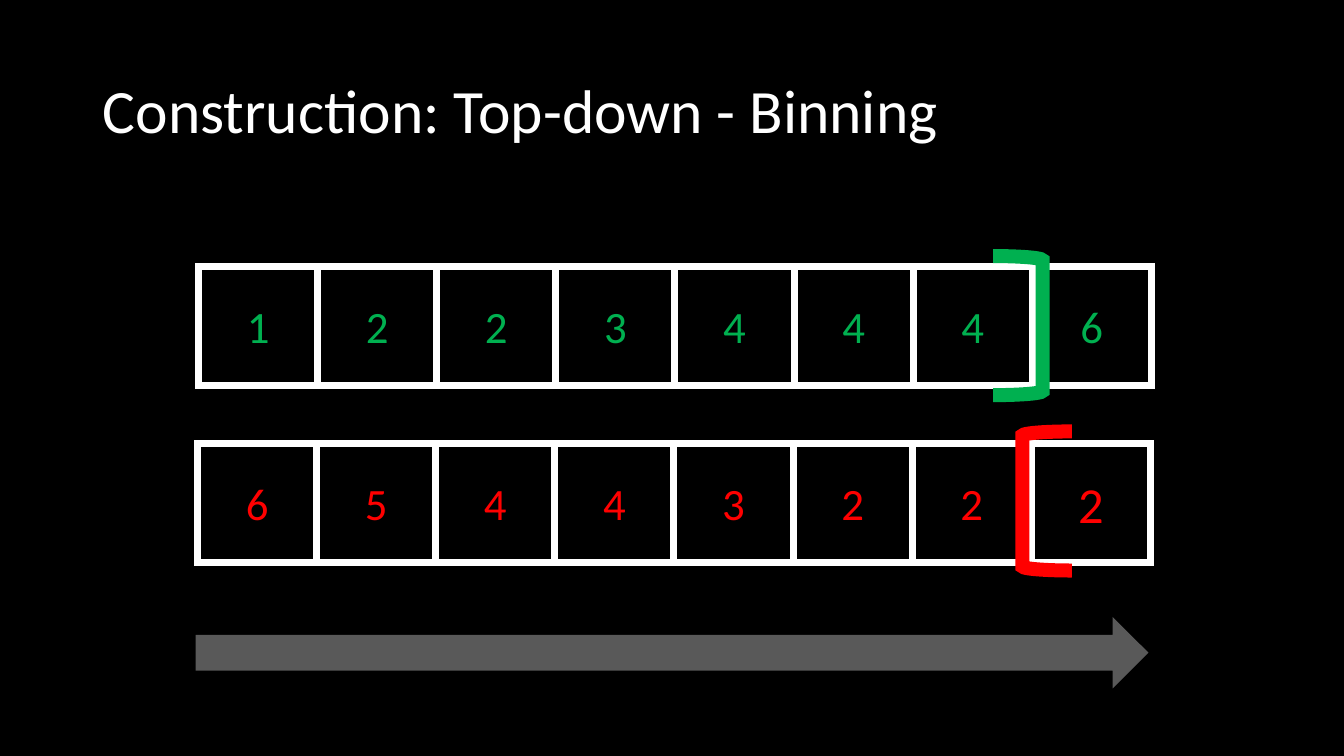
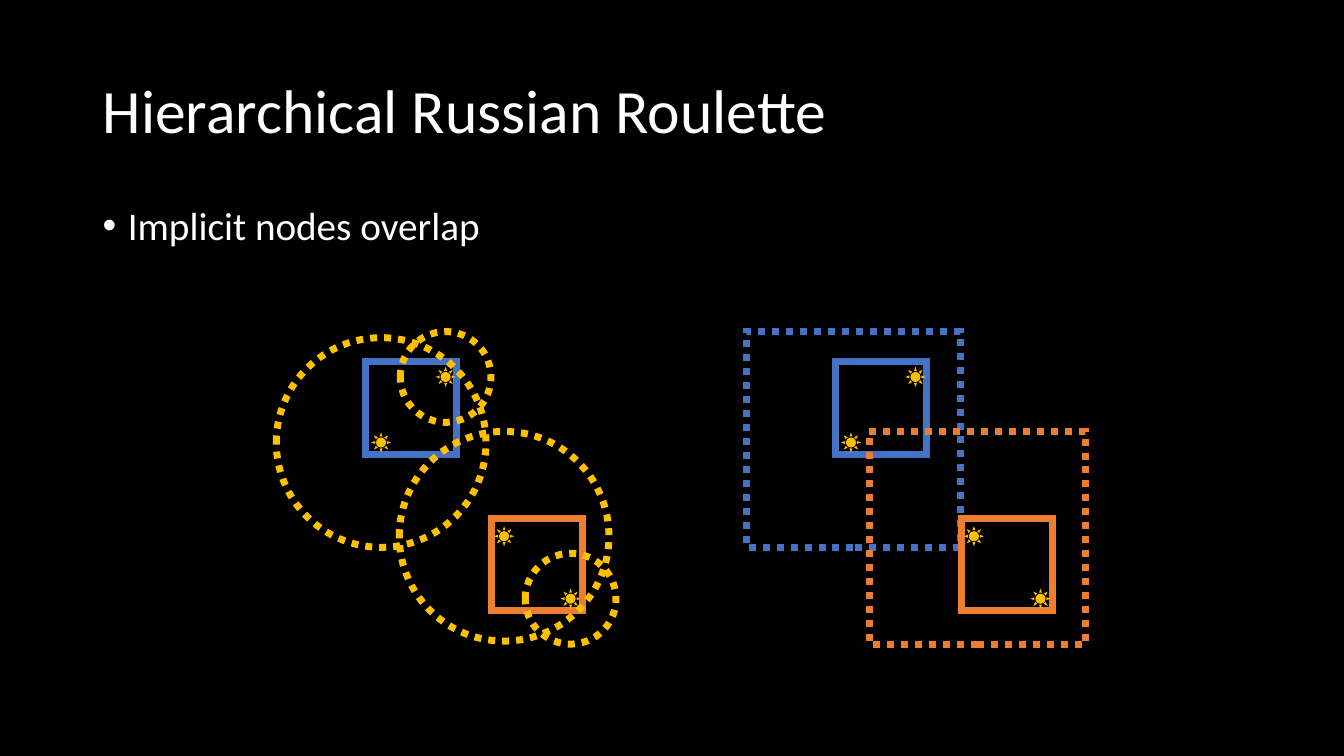
from dataclasses import dataclass

from lxml.etree import SubElement
from pptx import Presentation
from pptx.dml.color import RGBColor
from pptx.enum.dml import MSO_LINE
from pptx.enum.shapes import MSO_SHAPE
from pptx.enum.text import MSO_ANCHOR, MSO_AUTO_SIZE, PP_ALIGN
from pptx.oxml.ns import qn
from pptx.util import Emu, Pt

EMU_PER_PX = 9144  # 100 px to the inch


@dataclass(frozen=True)
class Theme:
    background: str = "000000"
    text: str = "FFFFFF"
    left_bin: str = "00B050"
    right_bin: str = "FF0000"
    sweep: str = "595959"
    light: str = "FFC000"
    first_node: str = "4472C4"
    second_node: str = "ED7D31"
    font: str = "Calibri"
    title_size: int = 44
    body_size: int = 28
    cell_size: int = 32
    marked_cell_size: int = 36
    outline: int = 5
    bracket: int = 10


THEME = Theme()

TITLE_BOX = (92, 40, 1150, 145)
BODY_BOX = (92, 200, 1150, 476)

LIGHT_SIZE = 20
FAR_RADIUS, NEAR_RADIUS = 104, 45
# Node box and (centre x, centre y, radius of influence) of each light,
# relative to the top left corner of a cluster.
NODES = [
    (THEME.first_node, (89, 30, 90, 92),
     [(104, 110, FAR_RADIUS), (168, 45, NEAR_RADIUS)]),
    (THEME.second_node, (214, 185, 90, 92),
     [(226, 203, FAR_RADIUS), (292, 265, NEAR_RADIUS)]),
]


def emu_box(box):
    return [Emu(round(length * EMU_PER_PX)) for length in box]


def rgb(color):
    return RGBColor.from_string(color)


def style_text(paragraph, size, color, align):
    paragraph.alignment = align
    font = paragraph.font
    font.name, font.size = THEME.font, Pt(size)
    font.color.rgb = rgb(color)


def add_figure(slide, kind, box, fill=None, line=None, width=THEME.outline, dotted=False):
    """Add a preset shape with a plain fill and a mitred outline, either optional."""
    figure = slide.shapes.add_shape(kind, *emu_box(box))
    figure.shadow.inherit = False
    if fill:
        figure.fill.solid()
        figure.fill.fore_color.rgb = rgb(fill)
    else:
        figure.fill.background()
    if line:
        figure.line.color.rgb = rgb(line)
        figure.line.width = Pt(width)
        if dotted:
            figure.line.dash_style = MSO_LINE.ROUND_DOT
        outline = figure.line._get_or_add_ln()
        SubElement(outline, qn("a:miter"), lim="800000")
    else:
        figure.line.fill.background()
    return figure


def add_titled_slide(prs, heading):
    slide = prs.slides.add_slide(prs.slide_layouts[5])
    title = slide.shapes.title
    title.left, title.top, title.width, title.height = emu_box(TITLE_BOX)
    title.text = heading
    title.text_frame.auto_size = MSO_AUTO_SIZE.NONE
    title.text_frame.vertical_anchor = MSO_ANCHOR.MIDDLE
    paragraph = title.text_frame.paragraphs[0]
    paragraph.line_spacing = 0.9
    style_text(paragraph, THEME.title_size, THEME.text, PP_ALIGN.LEFT)
    return slide


def add_bullet(slide, box, text):
    frame = slide.shapes.add_textbox(*emu_box(box)).text_frame
    frame.word_wrap = True
    paragraph = frame.paragraphs[0]
    paragraph.text = text
    paragraph.line_spacing = 0.9
    properties = paragraph._p.get_or_add_pPr()
    indent = 25 * EMU_PER_PX
    properties.set("marL", str(indent))
    properties.set("indent", str(-indent))
    SubElement(properties, qn("a:buFont"), typeface="Arial")
    SubElement(properties, qn("a:buChar"), char="•")
    style_text(paragraph, THEME.body_size, THEME.text, PP_ALIGN.LEFT)


def add_bin_row(slide, box, counts, color, last_size=THEME.cell_size):
    left, top, width, height = box
    cell_width = width / len(counts)
    sizes = [THEME.cell_size] * (len(counts) - 1) + [last_size]
    for column, (count, size) in enumerate(zip(counts, sizes)):
        cell_box = (left + column * cell_width, top, cell_width, height)
        cell = add_figure(slide, MSO_SHAPE.RECTANGLE, cell_box, line=THEME.text)
        cell.text_frame.vertical_anchor = MSO_ANCHOR.MIDDLE
        cell.text_frame.text = str(count)
        style_text(cell.text_frame.paragraphs[0], size, color, PP_ALIGN.CENTER)


def add_bracket(slide, box, color, rotation=0):
    bracket = add_figure(slide, MSO_SHAPE.RIGHT_BRACKET, box, line=color, width=THEME.bracket)
    bracket.rotation = rotation


def circle_box(x, y, radius):
    return x - radius, y - radius, 2 * radius, 2 * radius


def enclosing_box(lights):
    """Return the smallest box around all circles of influence."""
    left = min(x - radius for x, y, radius in lights)
    top = min(y - radius for x, y, radius in lights)
    right = max(x + radius for x, y, radius in lights)
    bottom = max(y + radius for x, y, radius in lights)
    return left, top, right - left, bottom - top


def add_cluster(slide, left, top, as_boxes):
    """Draw both nodes, with influence shown as one box per node or a circle per light."""
    for color, (node_x, node_y, width, height), offsets in NODES:
        lights = [(left + x, top + y, radius) for x, y, radius in offsets]
        node_box = (left + node_x, top + node_y, width, height)
        add_figure(slide, MSO_SHAPE.RECTANGLE, node_box, line=color)
        if as_boxes:
            add_figure(slide, MSO_SHAPE.RECTANGLE, enclosing_box(lights),
                       line=color, dotted=True)
        for x, y, radius in lights:
            add_figure(slide, MSO_SHAPE.SUN, circle_box(x, y, LIGHT_SIZE / 2),
                       fill=THEME.light)
            if not as_boxes:
                add_figure(slide, MSO_SHAPE.OVAL, circle_box(x, y, radius),
                           line=THEME.light, dotted=True)


def build_binning_slide(prs):
    slide = add_titled_slide(prs, "Construction: Top-down - Binning")
    add_bin_row(slide, (197, 264, 945, 118), [1, 2, 2, 3, 4, 4, 4, 6], THEME.left_bin)
    add_bin_row(slide, (196, 440, 945, 118), [6, 5, 4, 4, 3, 2, 2, 2], THEME.right_bin,
                last_size=THEME.marked_cell_size)
    add_bracket(slide, (985, 254, 49, 138), THEME.left_bin)
    add_bracket(slide, (1014, 428, 49, 138), THEME.right_bin, rotation=180)
    add_figure(slide, MSO_SHAPE.RIGHT_ARROW, (194, 612, 945, 71), fill=THEME.sweep)


def build_roulette_slide(prs):
    slide = add_titled_slide(prs, "Hierarchical Russian Roulette")
    add_bullet(slide, BODY_BOX, "Implicit nodes overlap")
    add_cluster(slide, 274, 329, as_boxes=False)
    add_cluster(slide, 740, 329, as_boxes=True)


def main():
    prs = Presentation()
    prs.slide_width, prs.slide_height = emu_box((1333, 750))
    backdrop = prs.slide_master.background.fill
    backdrop.solid()
    backdrop.fore_color.rgb = rgb(THEME.background)
    build_binning_slide(prs)
    build_roulette_slide(prs)
    prs.save("out.pptx")


if __name__ == "__main__":
    main()
